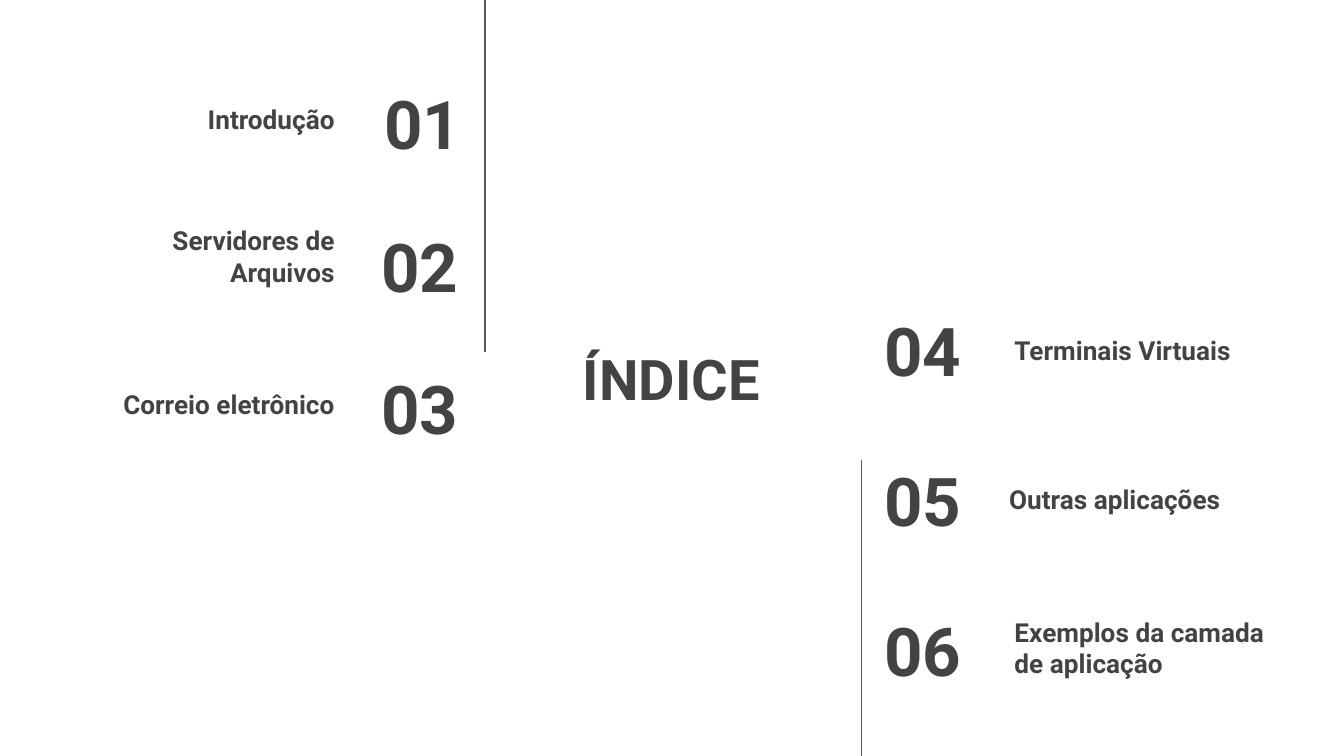
"""Build the index slide: a central title with three numbered topics on each side."""
import pptx
import pptx.dml.color
import pptx.enum.shapes
import pptx.enum.text
import pptx.oxml.ns
import pptx.util
from lxml import etree

Inches = pptx.util.Inches
ALIGN = pptx.enum.text.PP_ALIGN
ANCHOR = pptx.enum.text.MSO_ANCHOR
COLORS = {"background": "FFFFFF", "text": "434343", "line": "595959"}
ROW_HEIGHT = 0.63

LEFT_TOPICS = [
    ("01", 2.32, 0.6, "Introdução", 0.43, 0.47),
    ("02", 2.3, 1.66, "Servidores de Arquivos", 0.43, 1.61),
    ("03", 2.3, 2.72, "Correio eletrônico", 0.43, 2.59),
]
RIGHT_TOPICS = [
    ("04", 6.48, 2.29, "Terminais Virtuais", 7.45, 2.19),
    ("05", 6.48, 3.4, "Outras aplicações", 7.41, 3.3),
    ("06", 6.48, 4.52, "Exemplos da camada de aplicação", 7.45, 4.52),
]


def rgb(name):
    return pptx.dml.color.RGBColor.from_string(COLORS[name])


def add_text(slide, text, left, top, width, height=ROW_HEIGHT, *,
             size=14, align=ALIGN.LEFT, anchor=ANCHOR.MIDDLE):
    sp = slide.shapes.add_textbox(Inches(left), Inches(top), Inches(width), Inches(height))
    tf = sp.text_frame
    tf.word_wrap = True
    tf.vertical_anchor = anchor
    tf.margin_left = tf.margin_right = tf.margin_top = tf.margin_bottom = Inches(0.1)
    p = tf.paragraphs[0]
    p.alignment = align
    r = p.add_run()
    r.text = text
    r.font.name = "Roboto"
    r.font.size = pptx.util.Pt(size)
    r.font.bold = True
    r.font.color.rgb = rgb("text")


def add_vertical_line(slide, x, top, bottom):
    line = slide.shapes.add_connector(
        pptx.enum.shapes.MSO_CONNECTOR.STRAIGHT,
        Inches(x), Inches(top), Inches(x), Inches(bottom))
    line.line.color.rgb = rgb("line")
    line.line.width = pptx.util.Pt(0.75)
    etree.SubElement(line._element.spPr, pptx.oxml.ns.qn("a:effectLst"))


def add_topics(slide, topics, number_width, align):
    for number, number_left, number_top, label, label_left, label_top in topics:
        add_text(slide, number, number_left, number_top, number_width, size=36, align=align)
        add_text(slide, label, label_left, label_top, 2.16, align=align, anchor=ANCHOR.BOTTOM)


def main():
    prs = pptx.Presentation()
    prs.slide_width, prs.slide_height = Inches(10), Inches(10 * 9 / 16)
    slide = prs.slides.add_slide(prs.slide_layouts[6])
    slide.background.fill.solid()
    slide.background.fill.fore_color.rgb = rgb("background")
    add_text(slide, "ÍNDICE", 3.7, 2.3, 2.59, 1.03, size=30, align=ALIGN.CENTER)
    add_topics(slide, LEFT_TOPICS, 1.21, ALIGN.RIGHT)
    add_topics(slide, RIGHT_TOPICS, 1.17, ALIGN.LEFT)
    add_vertical_line(slide, 3.61, 0, 2.62)
    add_vertical_line(slide, 6.41, 3.42, 5.64)
    prs.save("out.pptx")


if __name__ == "__main__":
    main()
